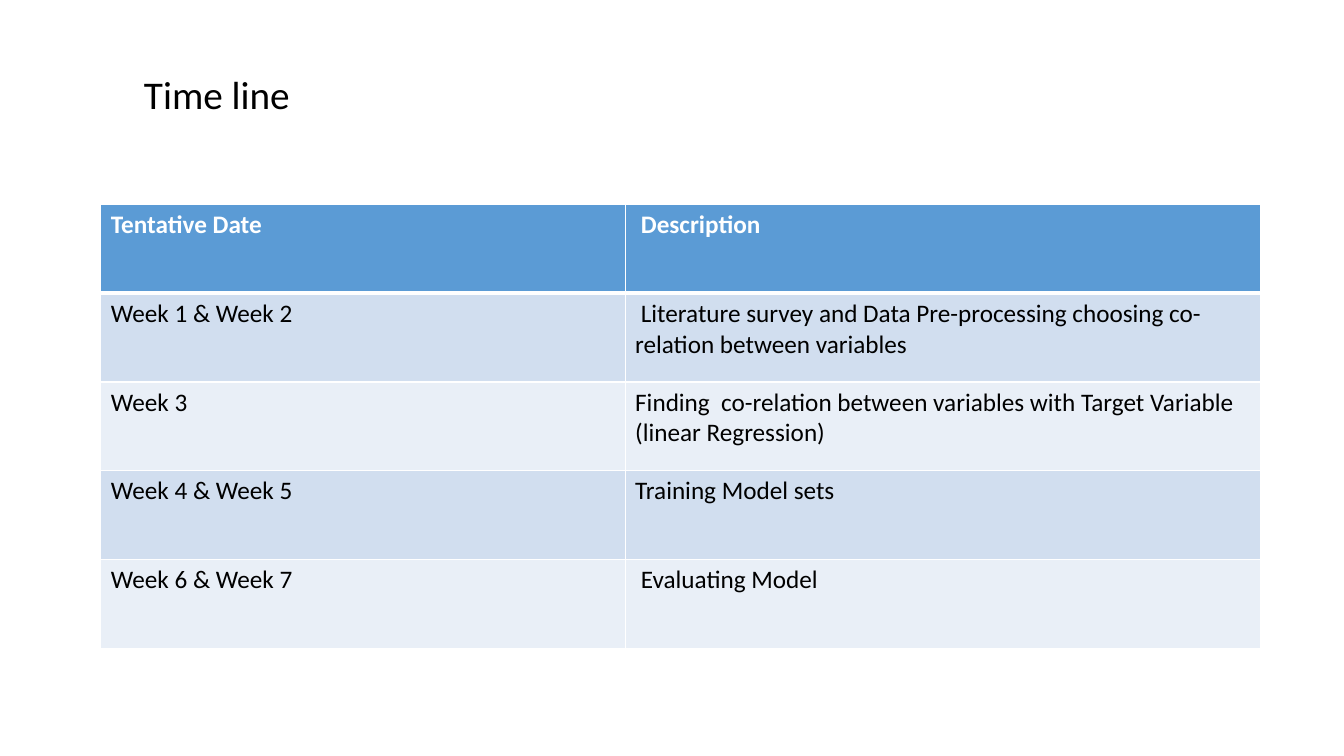
"""Build the project time line slide with its table of weeks."""
from lxml import etree
from pptx import Presentation
from pptx import util as u
from pptx.dml.color import RGBColor
from pptx.enum import text
from pptx.oxml.ns import qn

COLORS = {
    "header": "5B9BD5",
    "odd_row": "D1DEEF",
    "even_row": "E9EFF7",
    "text": "000000",
    "white": "FFFFFF",
}
ROWS = [
    ("Tentative Date", " Description"),
    ("Week 1 & Week 2", " Literature survey and Data Pre-processing choosing co-relation between variables"),
    ("Week 3", "Finding  co-relation between variables with Target Variable (linear Regression)"),
    ("Week 4 & Week 5", "Training Model sets"),
    ("Week 6 & Week 7", " Evaluating Model"),
]
COLUMN_WIDTHS = (5.2, 6.3)
ROW_HEIGHT = 0.88


def format_font(paragraph, size, color, bold=False):
    font = paragraph.runs[0].font
    font.name = "Calibri"
    font.size = u.Pt(size)
    font.bold = bold
    font.color.rgb = RGBColor.from_string(COLORS[color])


def add_border(cell, side, width):
    line = etree.SubElement(cell._tc.get_or_add_tcPr(), qn(f"a:ln{side}"), w=str(u.Pt(width)))
    fill = etree.SubElement(line, qn("a:solidFill"))
    etree.SubElement(fill, qn("a:srgbClr"), val=COLORS["white"])


presentation = Presentation()
presentation.slide_width = u.Inches(13.33)
presentation.slide_height = u.Inches(7.5)
slide = presentation.slides.add_slide(presentation.slide_layouts[6])

title = slide.shapes.add_textbox(u.Inches(1.33), u.Inches(0.51), u.Inches(11.5), u.Inches(0.9))
title.text_frame.word_wrap = True
title.text_frame.vertical_anchor = text.MSO_ANCHOR.MIDDLE
title.text_frame.text = "Time line"
title_paragraph = title.text_frame.paragraphs[0]
title_paragraph.line_spacing = 0.9
format_font(title_paragraph, 28, "text")

table = slide.shapes.add_table(
    len(ROWS), len(COLUMN_WIDTHS), u.Inches(1), u.Inches(2.03),
    u.Inches(sum(COLUMN_WIDTHS)), u.Inches(ROW_HEIGHT * len(ROWS)),
).table
for column, width in zip(table.columns, COLUMN_WIDTHS):
    column.width = u.Inches(width)

for row_index, row in enumerate(ROWS):
    table.rows[row_index].height = u.Inches(ROW_HEIGHT)
    is_header = row_index == 0
    row_color = "header" if is_header else "odd_row" if row_index % 2 else "even_row"
    for column_index, wording in enumerate(row):
        cell = table.cell(row_index, column_index)
        cell.text_frame.text = wording
        format_font(cell.text_frame.paragraphs[0], 18, "white" if is_header else "text", is_header)
        for side in "LRTB":
            below_header = (row_index, side) in ((0, "B"), (1, "T"))
            add_border(cell, side, 3 if below_header else 0.96)
        cell.fill.solid()
        cell.fill.fore_color.rgb = RGBColor.from_string(COLORS[row_color])

presentation.save("out.pptx")
